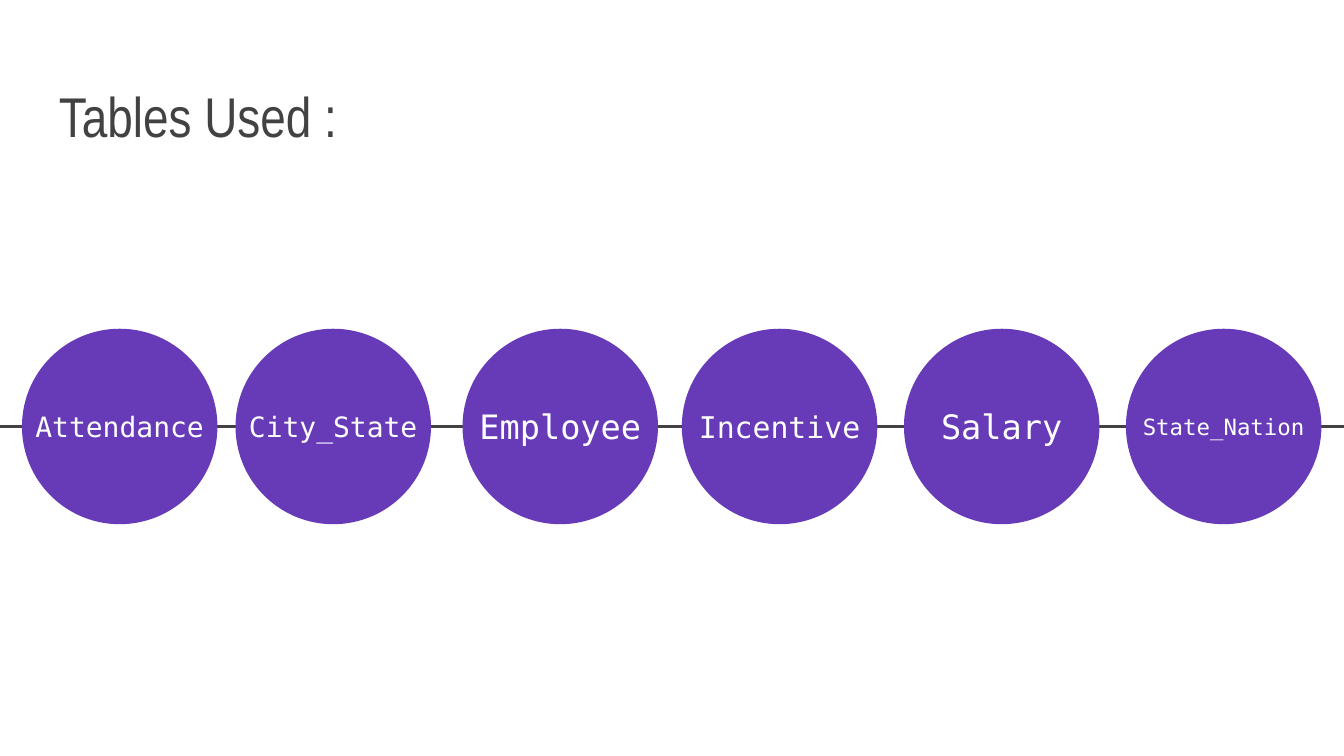
from dataclasses import dataclass

from pptx import Presentation
from pptx.dml.color import RGBColor
from pptx.enum.shapes import MSO_CONNECTOR as Connector, MSO_SHAPE as Shape
from pptx.enum.text import MSO_ANCHOR as Anchor, PP_ALIGN as Align
from pptx.oxml.xmlchemy import OxmlElement
from pptx.util import Pt


@dataclass(frozen=True)
class Theme:
    """Colours, fonts and type sizes of the slide."""
    dark: RGBColor = RGBColor(0x42, 0x42, 0x42)
    accent: RGBColor = RGBColor(0x67, 0x3A, 0xB7)
    light: RGBColor = RGBColor(0xFF, 0xFF, 0xFF)
    title_font: str = "Arial Narrow"
    label_font: str = "DejaVu Sans Mono"
    title_size: int = 30
    label_large: int = 18
    label_medium: int = 16
    label_regular: int = 15
    label_small: int = 12


THEME = Theme()
SLIDE_WIDTH, SLIDE_HEIGHT = 720, 405
AXIS_Y = 228.5
DIAMETER = 104.7
LABEL_HEIGHT = 47.5
TABLES = [
    ("Attendance", 11.8, THEME.label_regular),
    ("City_State", 126.2, THEME.label_regular),
    ("Employee", 247.8, THEME.label_large),
    ("Incentive", 365.3, THEME.label_medium),
    ("Salary", 484.3, THEME.label_large),
    ("State_Nation", 603.2, THEME.label_small),
]


def apply_format(target, values):
    """Set each named attribute of the target."""
    for name, value in values.items():
        setattr(target, name, value)


def add_text(slide, text, box, frame_format, align, font_format, color):
    """Add a one-paragraph text box."""
    frame = slide.shapes.add_textbox(*map(Pt, box)).text_frame
    margins = dict.fromkeys(
        ("margin_left", "margin_top", "margin_right", "margin_bottom"), Pt(7.2))
    apply_format(frame, margins | {"word_wrap": True} | frame_format)
    paragraph = frame.paragraphs[0]
    paragraph.alignment = align
    run = paragraph.add_run()
    run.text = text
    apply_format(run.font, font_format)
    run.font.color.rgb = color


def add_title(slide, text):
    """Add the slide title."""
    add_text(slide, text, (24.5, 29.5, 671, 57.6),
             {"vertical_anchor": Anchor.BOTTOM}, Align.LEFT,
             {"name": THEME.title_font, "size": Pt(THEME.title_size)}, THEME.dark)


def add_axis(slide):
    """Add the line that runs behind the circles."""
    axis = slide.shapes.add_connector(
        Connector.STRAIGHT, Pt(0), Pt(AXIS_Y), Pt(SLIDE_WIDTH), Pt(AXIS_Y))
    axis.line.color.rgb = THEME.dark
    axis.line.width = Pt(1.5)
    axis._element.spPr.append(OxmlElement("a:effectLst"))


def add_table_circle(slide, name, left, size):
    """Add a circle with a table name centred on the axis."""
    circle = slide.shapes.add_shape(
        Shape.OVAL, Pt(left), Pt(AXIS_Y - DIAMETER / 2), Pt(DIAMETER), Pt(DIAMETER))
    circle.shadow.inherit = False
    circle.fill.solid()
    circle.fill.fore_color.rgb = THEME.accent
    circle.line.fill.background()
    add_text(slide, name, (left, AXIS_Y - LABEL_HEIGHT / 2, DIAMETER, LABEL_HEIGHT),
             {"vertical_anchor": Anchor.MIDDLE, "margin_left": Pt(6),
              "margin_right": Pt(6)}, Align.CENTER,
             {"name": THEME.label_font, "size": Pt(size)}, THEME.light)


def main():
    """Build and save the slide."""
    presentation = Presentation()
    apply_format(presentation, {"slide_width": Pt(SLIDE_WIDTH),
                                "slide_height": Pt(SLIDE_HEIGHT)})
    slide = presentation.slides.add_slide(presentation.slide_layouts[6])
    add_axis(slide)
    add_title(slide, "Tables Used :")
    for name, left, size in TABLES:
        add_table_circle(slide, name, left, size)
    presentation.save("out.pptx")


if __name__ == "__main__":
    main()
